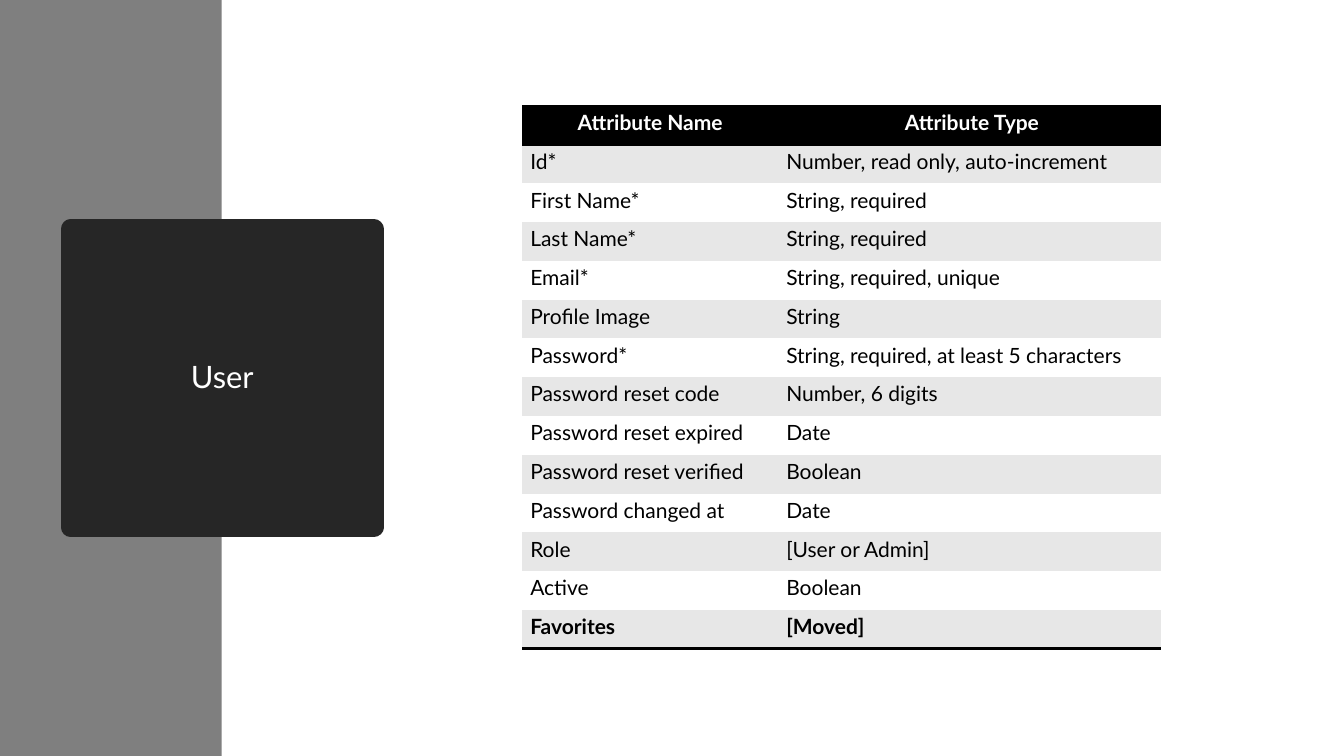
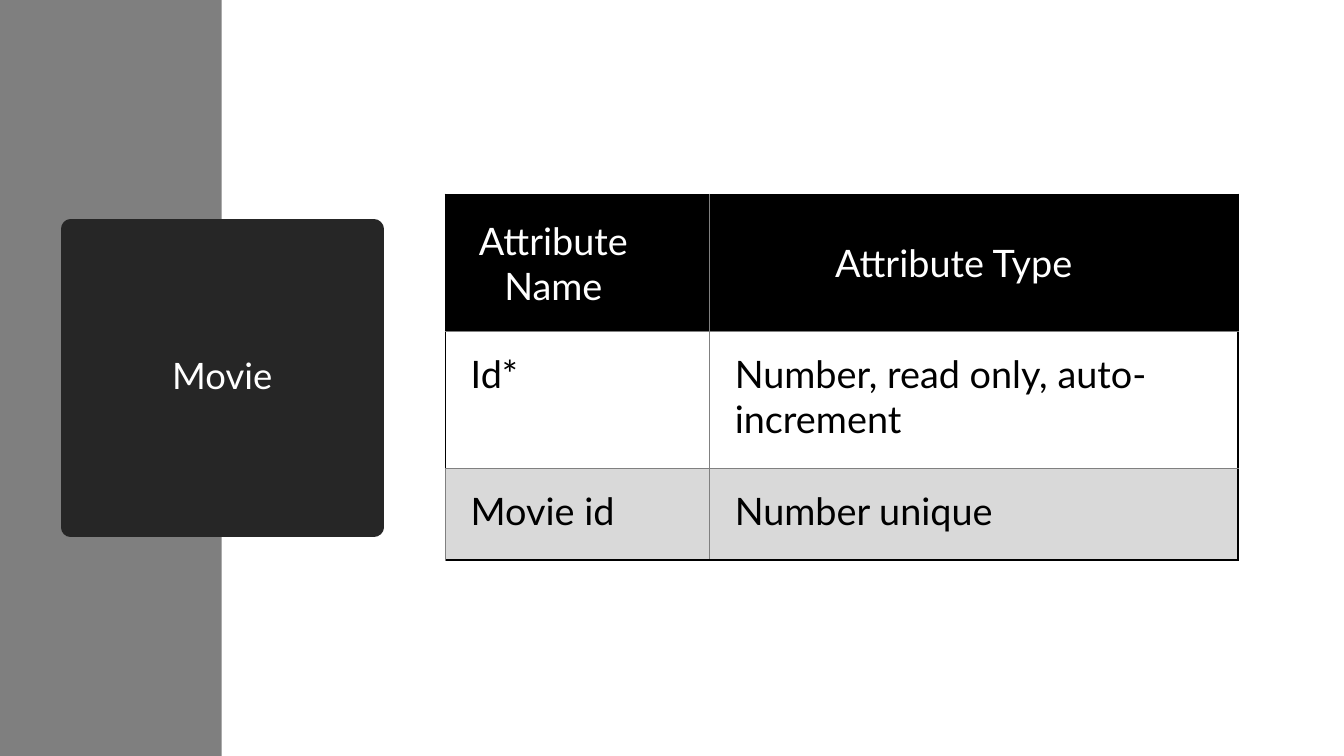
"""Build two data-model slides, each with a title block and an attribute table."""
from lxml.etree import SubElement
from pptx import Presentation
from pptx.dml.color import RGBColor
from pptx.enum.shapes import MSO_SHAPE
from pptx.enum.text import MSO_ANCHOR, MSO_AUTO_SIZE, PP_ALIGN
from pptx.oxml.ns import qn
from pptx.util import Pt

FONT = "Lato"
BLACK, WHITE, GRAY, DARK = "000000", "FFFFFF", "7F7F7F", "262626"
NO_STYLE = "{2D5ABB26-0587-4C30-8999-92F81FD0307C}"

HEADER = ("Attribute Name", " Attribute Type")
USER_ROWS = [
    HEADER,
    ("Id*", "Number, read only, auto-increment"),
    ("First Name*", "String, required"),
    ("Last Name*", "String, required"),
    ("Email*", "String, required, unique"),
    ("Profile Image", "String"),
    ("Password*", "String, required, at least 5 characters"),
    ("Password reset code", "Number, 6 digits"),
    ("Password reset expired", "Date"),
    ("Password reset verified", "Boolean"),
    ("Password changed at", "Date"),
    ("Role", "[User or Admin]"),
    ("Active", "Boolean"),
    ("Favorites", "[Moved]"),
]
MOVIE_ROWS = [
    HEADER,
    ("Id*", "Number, read only, auto-increment"),
    ("Movie id", "Number unique"),
]
SLIDES = [
    dict(title="User", title_size=22, rows=USER_ROWS, size=15,
         left=373, top=75.6, widths=(182.9, 273.6), heights=[27.72] * 14,
         margins=(5.76, 2.88, 5.76, 2.88), fills=(WHITE, "E7E7E7"),
         heavy=(BLACK, 2), thin=None, bold_rows=(0, 13)),
    dict(title="Movie", title_size=26, rows=MOVIE_ROWS, size=27,
         left=318.24, top=138.96, widths=(188.64, 377.28), heights=[97.92, 97.92, 65.52],
         margins=(18, 13.7, 52.6, 13.7), fills=("D9D9D9", WHITE),
         heavy=(BLACK, 1.5), thin=("808080", 0.5), bold_rows=()),
]


def rgb(color):
    return RGBColor.from_string(color)


def set_borders(cell, sides):
    tcPr = cell._tc.get_or_add_tcPr()
    for side in "LRTB":
        color, width = sides.get(side) or (None, 0)
        ln = SubElement(tcPr, qn(f"a:ln{side}"), w=str(Pt(width)))
        if color:
            fill = SubElement(ln, qn("a:solidFill"))
            SubElement(fill, qn("a:srgbClr"), val=color)
        else:
            SubElement(ln, qn("a:noFill"))


prs = Presentation()
prs.slide_width, prs.slide_height = Pt(960), Pt(540)

for d in SLIDES:
    s = prs.slides.add_slide(prs.slide_layouts[5])
    title = s.shapes.title
    band = s.shapes.add_shape(MSO_SHAPE.RECTANGLE, 0, 0, Pt(158.4), prs.slide_height)
    band.shadow.inherit = False
    band.fill.solid()
    band.fill.fore_color.rgb = rgb(GRAY)
    band.line.fill.background()
    title.element.addprevious(band.element)

    title.left, title.top, title.width, title.height = Pt(50.4), Pt(163.5), Pt(216.7), Pt(213.1)
    title.fill.solid()
    title.fill.fore_color.rgb = rgb(DARK)
    title.line.color.rgb = rgb(DARK)
    title.line.width = Pt(13.75)
    SubElement(title.line._get_or_add_ln(), qn("a:round"))
    tf = title.text_frame
    tf.text = d["title"]
    tf.word_wrap = True
    tf.auto_size = MSO_AUTO_SIZE.NONE
    tf.vertical_anchor = MSO_ANCHOR.MIDDLE
    p = tf.paragraphs[0]
    p.alignment = PP_ALIGN.CENTER
    p.line_spacing = 0.9
    p.font.name, p.font.size, p.font.color.rgb = FONT, Pt(d["title_size"]), rgb(WHITE)

    rows, heavy, thin = d["rows"], d["heavy"], d["thin"]
    frame = s.shapes.add_table(len(rows), 2, Pt(d["left"]), Pt(d["top"]),
                               Pt(sum(d["widths"])), Pt(sum(d["heights"])))
    table = frame.table
    table._tbl.tblPr.find(qn("a:tableStyleId")).text = NO_STYLE
    for col, width in zip(table.columns, d["widths"]):
        col.width = Pt(width)
    for i, (texts, height) in enumerate(zip(rows, d["heights"])):
        table.rows[i].height = Pt(height)
        first, last = i == 0, i == len(rows) - 1
        for j, text in enumerate(texts):
            cell = table.cell(i, j)
            sides = {"T": heavy if first else thin, "B": heavy if last else thin}
            if thin:
                sides["L"] = heavy if j == 0 and not last else thin
                sides["R"] = heavy if j == 1 else thin
            elif first:
                sides["B"] = heavy
            set_borders(cell, sides)
            cell.fill.solid()
            cell.fill.fore_color.rgb = rgb(BLACK if first else d["fills"][i % 2])
            (cell.margin_left, cell.margin_top,
             cell.margin_right, cell.margin_bottom) = map(Pt, d["margins"])
            cell.vertical_anchor = MSO_ANCHOR.MIDDLE if first and thin else MSO_ANCHOR.TOP
            cell.text = text
            p = cell.text_frame.paragraphs[0]
            p.alignment = PP_ALIGN.CENTER if first else PP_ALIGN.LEFT
            p.font.name, p.font.size = FONT, Pt(d["size"])
            p.font.bold = i in d["bold_rows"]
            p.font.color.rgb = rgb(WHITE if first else BLACK)

prs.save("out.pptx")
